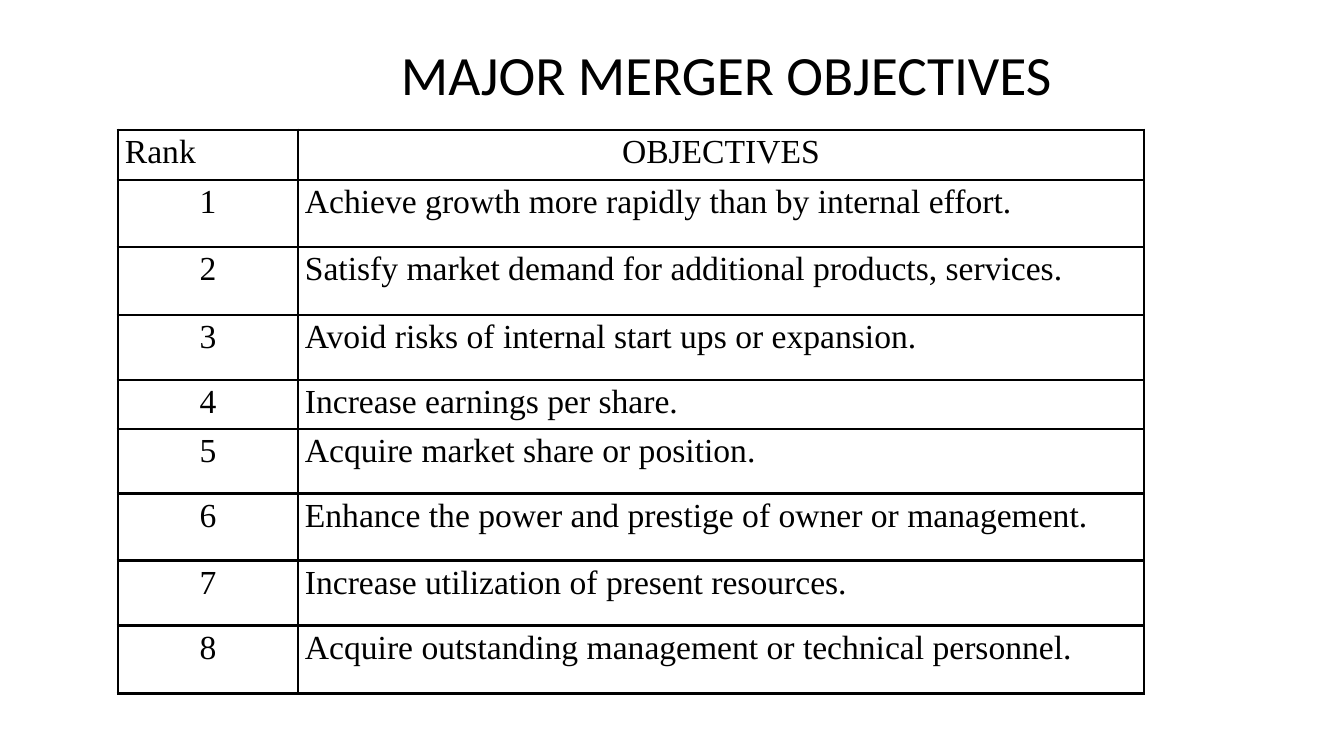
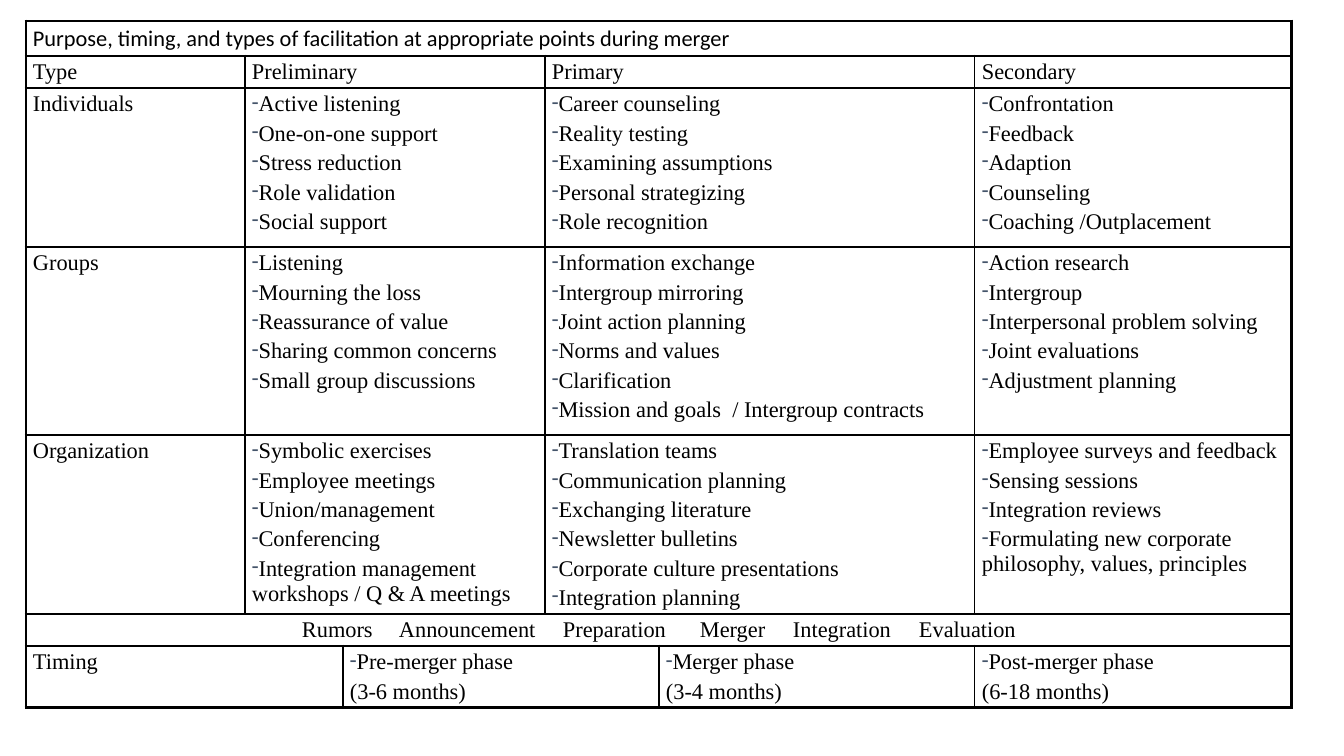
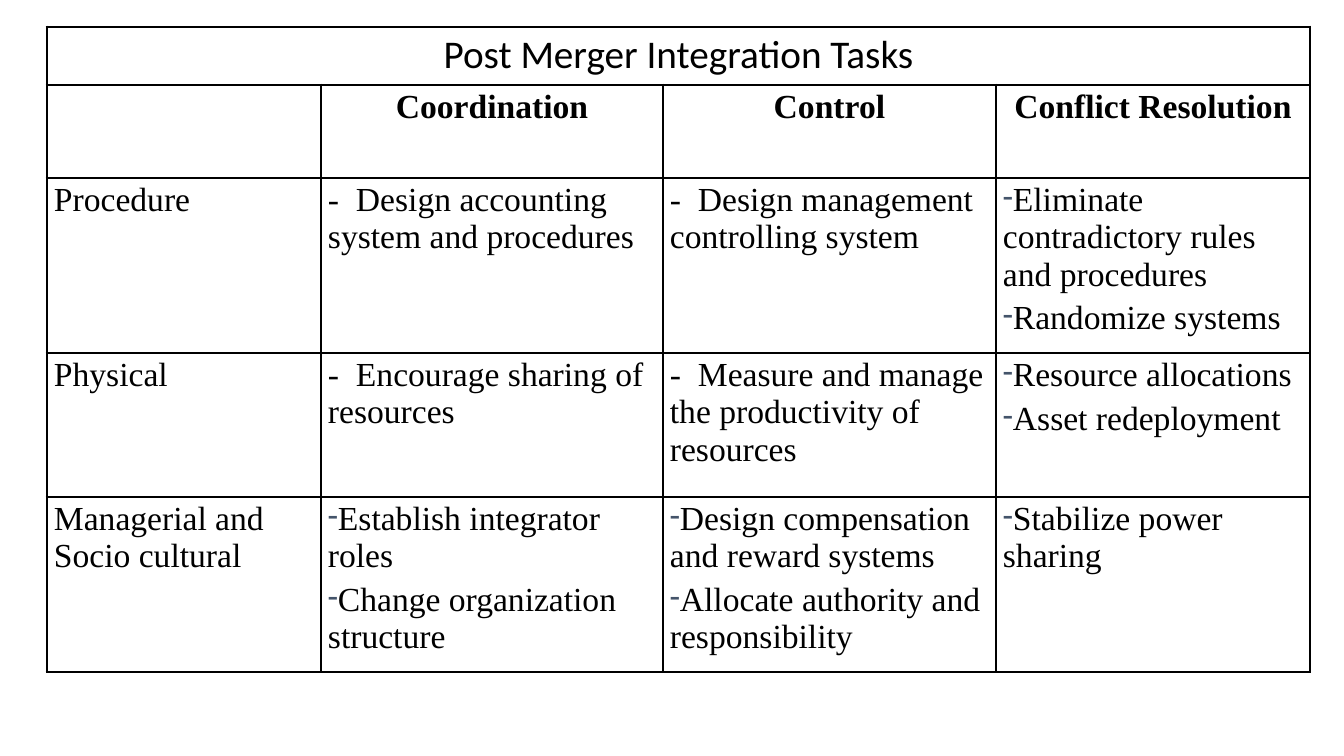
from dataclasses import dataclass, field
from itertools import accumulate

from lxml import etree
from pptx import Presentation
from pptx import util as u
from pptx.dml.color import RGBColor
from pptx.enum import text as t
from pptx.oxml.ns import qn

WIDTH, HEIGHT = 1344, 756
SCALE = 12192000 / WIDTH
COLORS = {"ink": "000000", "bullet": "44546A"}
SANS, SERIF = "Calibri", "Times New Roman"
THICK, THIN = 2.25, 1
PLAIN_STYLE = "{2D5ABB26-0587-4C30-8999-92F81FD0307C}"
ALIGN = {"l": t.PP_ALIGN.LEFT, "c": t.PP_ALIGN.CENTER}
TITLE_ONLY, BLANK = 5, 6


@dataclass
class Row:
    """One table row; lines of a cell that start with "-" become bullets."""
    height: int
    cells: list
    spans: list = None
    aligns: str = ""
    fmt: dict = field(default_factory=dict)


def px(n):
    return u.Emu(round(n * SCALE))


def add_xml(parent, tag, **attrs):
    return etree.SubElement(parent, qn(tag), {k: str(v) for k, v in attrs.items()})


def write(p, text, size=24, font=SERIF, bold=False, color="ink", align="l",
          before=0.2, line=None, bullet=False, tabs=()):
    """Fill a paragraph; before is a share of the text size."""
    p.alignment = ALIGN[align]
    p.space_before = u.Pt(size * before)
    if line:
        p.line_spacing = line
    pPr = p._p.get_or_add_pPr()
    if bullet:
        pPr.set("marL", "0")
        pPr.set("indent", "0")
        add_xml(add_xml(pPr, "a:buClr"), "a:srgbClr", val=COLORS["bullet"])
        add_xml(pPr, "a:buSzPct", val=90000)
        add_xml(pPr, "a:buChar", char="-")
    if tabs and "\t" in text:
        stops = add_xml(pPr, "a:tabLst")
        for stop in tabs:
            add_xml(stops, "a:tab", pos=px(stop), algn="l")
    r = p.add_run()
    r.text = text
    r.font.size, r.font.name, r.font.bold = u.Pt(size), font, bold
    r.font.color.rgb = RGBColor.from_string(COLORS[color])


def add_title(slide, text, box):
    sp = slide.shapes.title
    sp.left, sp.top, sp.width, sp.height = map(px, box)
    tf = sp.text_frame
    tf.vertical_anchor = t.MSO_ANCHOR.MIDDLE
    write(tf.paragraphs[0], text, size=39.6, font=SANS, align="c", before=0, line=0.9)


def set_borders(cell, **widths):
    tcPr = cell._tc.get_or_add_tcPr()
    for i, side in enumerate(s for s in "LRTB" if s in widths):
        ln = etree.Element(qn(f"a:ln{side}"), w=str(u.Pt(widths[side])))
        add_xml(add_xml(ln, "a:solidFill"), "a:srgbClr", val=COLORS["ink"])
        tcPr.insert(i, ln)


def fill_cell(cell, text, **fmt):
    cell.margin_left = cell.margin_right = px(7)
    cell.margin_top, cell.margin_bottom = px(4), px(3)
    if not text:
        return
    tf = cell.text_frame
    for i, line in enumerate(text.split("\n")):
        p = tf.add_paragraph() if i else tf.paragraphs[0]
        bullet = line.startswith("-") and not line.startswith("-\t")
        write(p, line[1:] if bullet else line, bullet=bullet, **fmt)


def add_ruled_table(slide, left, top, cols, rows, **base):
    """Table with heavy outline and row rules, and light column rules."""
    n = len(cols)
    frame = slide.shapes.add_table(len(rows), n, px(left), px(top), px(sum(cols)),
                                   px(sum(row.height for row in rows)))
    table = frame.table
    table.first_row = table.horz_banding = False
    table._tbl.tblPr.find(qn("a:tableStyleId")).text = PLAIN_STYLE
    for column, width in zip(table.columns, cols):
        column.width = px(width)
    for y, row in enumerate(rows):
        table.rows[y].height = px(row.height)
        spans = row.spans or [1] * n
        ends = list(accumulate(spans))
        aligns = row.aligns or "l" * len(spans)
        for text, span, end, align in zip(row.cells, spans, ends, aligns):
            start = end - span
            first, last = table.cell(y, start), table.cell(y, end - 1)
            edge_l, edge_r = (THICK if e in (0, n) else THIN for e in (start, end))
            for x in range(start, end):
                cell = table.cell(y, x)
                cell.fill.background()
                sides = {"T": THICK, "B": THICK}
                if x == start:
                    sides["L"] = edge_l
                if x in (start, end - 1):
                    sides["R"] = edge_r
                set_borders(cell, **sides)
            if span > 1:
                first.merge(last)
            fill_cell(first, text, align=align, **{**base, **row.fmt})


def objectives_slide(prs):
    slide = prs.slides.add_slide(prs.slide_layouts[TITLE_ONLY])
    add_title(slide, "MAJOR MERGER OBJECTIVES", (174, 45, 1105, 66))
    objectives = [
        (67, "Achieve growth more rapidly than by internal effort."),
        (68, "Satisfy market demand for additional products, services."),
        (65, "Avoid risks of internal start ups or expansion."),
        (49, "Increase earnings per share."),
        (65, "Acquire market share or position."),
        (67, "Enhance the power and prestige of owner or management."),
        (65, "Increase utilization of present resources."),
        (68, "Acquire outstanding management or technical personnel."),
    ]
    rows = [Row(50, ["Rank", "OBJECTIVES"], aligns="lc")]
    rows += [Row(height, [str(rank), text], aligns="cl")
             for rank, (height, text) in enumerate(objectives, 1)]
    add_ruled_table(slide, 118, 130, [180, 846], rows)


def facilitation_slide(prs):
    slide = prs.slides.add_slide(prs.slide_layouts[BLANK])
    by_type = [1, 2, 2, 1]
    rows = [
        Row(35, ["Purpose, timing, and types of facilitation at appropriate points "
                 "during merger"], [6], fmt={"font": SANS}),
        Row(32, ["Type", "Preliminary", "Primary", "Secondary"], by_type),
        Row(159, [
            "Individuals",
            "-Active listening\n-One-on-one support\n-Stress reduction\n"
            "-Role validation\n-Social support",
            "-Career counseling\n-Reality testing\n-Examining assumptions\n"
            "-Personal strategizing\n-Role recognition",
            "-Confrontation\n-Feedback\n-Adaption\n-Counseling\n-Coaching /Outplacement",
        ], by_type),
        Row(188, [
            "Groups",
            "-Listening\n-Mourning the loss\n-Reassurance of value\n"
            "-Sharing common concerns\n-Small group discussions",
            "-Information exchange\n-Intergroup mirroring\n-Joint action planning\n"
            "-Norms and values\n-Clarification\n"
            "-Mission and goals  / Intergroup contracts",
            "-Action research\n-Intergroup\n-Interpersonal problem solving\n"
            "-Joint evaluations\n-Adjustment planning",
        ], by_type),
        Row(179, [
            "Organization",
            "-Symbolic exercises\n-Employee meetings\n-Union/management\n-Conferencing\n"
            "-Integration management workshops / Q & A meetings",
            "-Translation teams\n-Communication planning\n-Exchanging literature\n"
            "-Newsletter bulletins\n-Corporate culture presentations\n"
            "-Integration planning",
            "-Employee surveys and feedback\n-Sensing sessions\n-Integration reviews\n"
            "-Formulating new corporate philosophy, values, principles",
        ], by_type),
        Row(32, ["\tRumors\tAnnouncement\tPreparation\tMerger\tIntegration\tEvaluation"],
            [6], fmt={"tabs": (269, 366, 530, 667, 760, 886)}),
        Row(62, ["Timing", "-Pre-merger phase\n(3-6 months)",
                 "-Merger phase\n(3-4 months)", "-Post-merger phase\n(6-18 months)"],
            [2, 2, 1, 1]),
    ]
    add_ruled_table(slide, 26, 21, [219, 98, 202, 114, 316, 317], rows, size=16)


def integration_slide(prs):
    slide = prs.slides.add_slide(prs.slide_layouts[BLANK])
    rows = [
        Row(58, ["Post Merger Integration Tasks"], [4], "c", {"size": 28, "font": SANS}),
        Row(93, ["", "Coordination", "Control", "Conflict Resolution"],
            aligns="cccc", fmt={"bold": True}),
        Row(175, ["Procedure", "-\tDesign accounting system and procedures",
                  "-\tDesign management controlling system",
                  "-Eliminate contradictory rules and procedures\n-Randomize systems"]),
        Row(144, ["Physical", "-\tEncourage sharing of resources",
                  "-\tMeasure and manage the productivity of resources",
                  "-Resource allocations\n-Asset redeployment"]),
        Row(175, ["Managerial and Socio cultural",
                  "-Establish integrator roles\n-Change organization structure",
                  "-Design compensation and reward systems\n"
                  "-Allocate authority and responsibility",
                  "-Stabilize power sharing"]),
    ]
    add_ruled_table(slide, 47, 27, [274, 342, 333, 314], rows, tabs=(28,))


def main():
    prs = Presentation()
    prs.slide_width, prs.slide_height = px(WIDTH), px(HEIGHT)
    objectives_slide(prs)
    facilitation_slide(prs)
    integration_slide(prs)
    prs.save("out.pptx")


if __name__ == "__main__":
    main()
